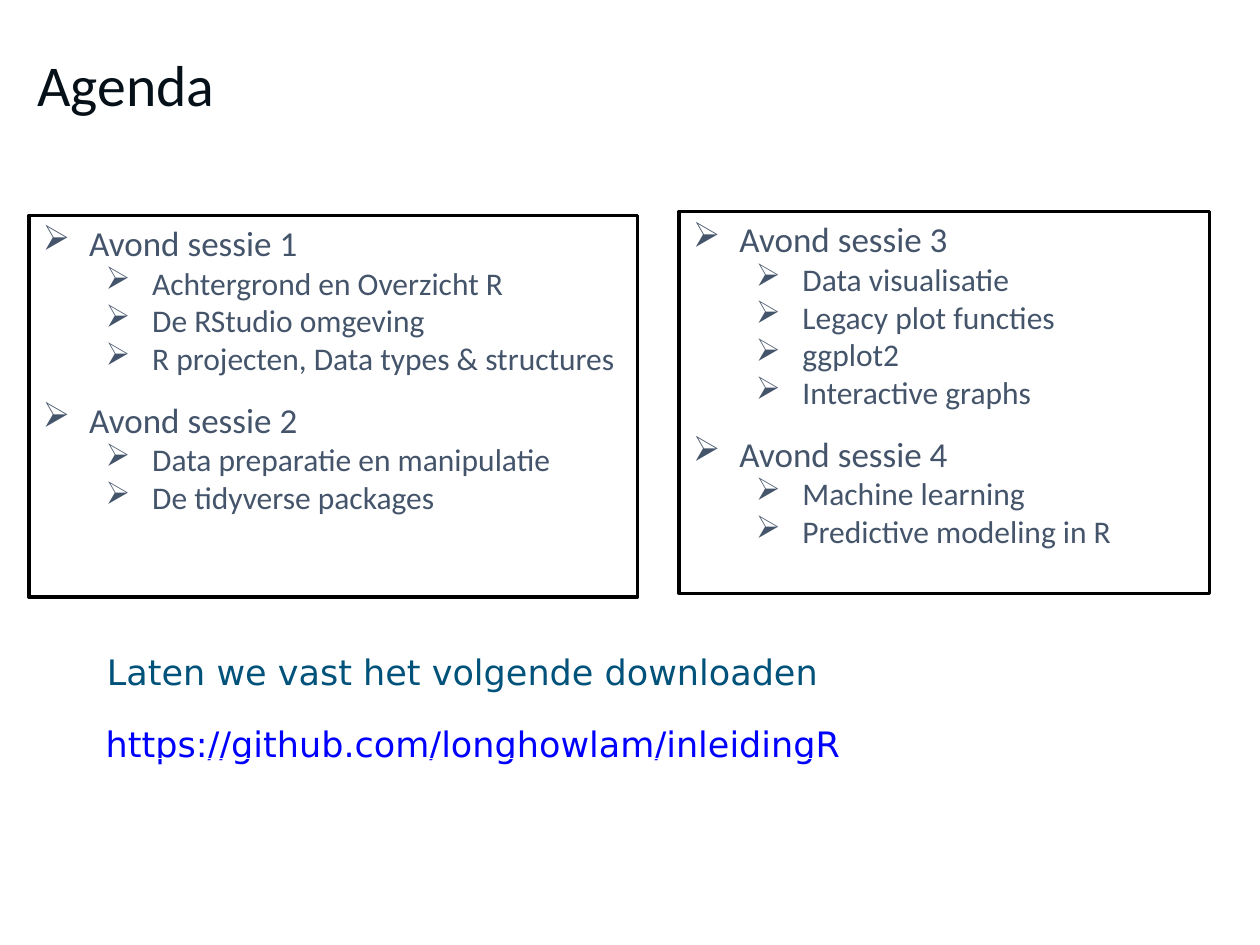
from lxml import etree
from pptx import Presentation
from pptx.dml.color import RGBColor
from pptx.enum.shapes import MSO_SHAPE
from pptx.enum.text import MSO_ANCHOR, PP_ALIGN
from pptx.oxml.ns import qn
from pptx.util import Inches, Pt

RECTANGLE = MSO_SHAPE.RECTANGLE
TOP, MIDDLE = MSO_ANCHOR.TOP, MSO_ANCHOR.MIDDLE
LEFT = PP_ALIGN.LEFT
SLATE = "44546A"

FIRST_SESSIONS = [
    ("Avond sessie 1", ["Achtergrond en Overzicht R", "De RStudio omgeving",
                        "R projecten, Data types & structures"]),
    ("Avond sessie 2", ["Data preparatie en manipulatie", "De tidyverse packages"]),
]
LAST_SESSIONS = [
    ("Avond sessie 3", ["Data visualisatie", "Legacy plot functies", "ggplot2",
                        "Interactive graphs"]),
    ("Avond sessie 4", ["Machine learning", "Predictive modeling in R"]),
]


def color(value):
    """Turn a hex string into a colour."""
    return RGBColor.from_string(value)


def add_bullet(para, level):
    """Give a paragraph an arrow bullet and a hanging indent for its level."""
    para.level = level
    properties = para._p.get_or_add_pPr()
    properties.set("marL", str(Inches(0.38 + 0.5 * level)))
    properties.set("indent", str(Inches(-0.37)))
    bullet_color = etree.SubElement(properties, qn("a:buClr"))
    etree.SubElement(bullet_color, qn("a:srgbClr")).set("val", SLATE)
    etree.SubElement(properties, qn("a:buChar")).set("char", "➢")


def add_underline(span, fill):
    """Underline a run in a colour of its own."""
    span.font.underline = True
    line_fill = etree.Element(qn("a:uFill"))
    solid = etree.SubElement(line_fill, qn("a:solidFill"))
    etree.SubElement(solid, qn("a:srgbClr")).set("val", fill)
    span._r.get_or_add_rPr().find(qn("a:solidFill")).addnext(line_fill)


def write(para, text, size, fill, font="Calibri", spacing=1.0, underline=None):
    """Write one formatted run into a paragraph."""
    para.alignment = LEFT
    para.line_spacing = spacing
    span = para.add_run()
    span.text = text
    span.font.name = font
    span.font.size = Pt(size)
    span.font.color.rgb = color(fill)
    if underline:
        add_underline(span, underline)


def add_line(page, box, text, anchor=TOP, **style):
    """Place a single line of text in the given box."""
    frame = page.shapes.add_textbox(*map(Inches, box)).text_frame
    frame.word_wrap = True
    frame.vertical_anchor = anchor
    write(frame.paragraphs[0], text, **style)


def add_sessions(page, box, sessions):
    """Place a framed list of sessions and their topics in the given box."""
    panel = page.shapes.add_shape(RECTANGLE, *map(Inches, box))
    panel.shadow.inherit = False
    panel.fill.solid()
    panel.fill.fore_color.rgb = color("FFFFFF")
    panel.line.color.rgb = color("000000")
    panel.line.width = Pt(2)
    frame = panel.text_frame
    frame.word_wrap = True
    frame.vertical_anchor = TOP
    for index, (session, topics) in enumerate(sessions):
        para = frame.add_paragraph() if index else frame.paragraphs[0]
        add_bullet(para, 0)
        write(para, session, size=20, fill=SLATE, spacing=1.5 if index else 1.0)
        for topic in topics:
            para = frame.add_paragraph()
            add_bullet(para, 1)
            write(para, topic, size=18, fill=SLATE)


def add_download(page, left, top):
    """Place the download request with its address below it."""
    style = {"size": 20, "font": "DejaVu Sans", "spacing": 0.9}
    add_line(page, (left, top, 8.23, 0.43), "Laten we vast het volgende downloaden",
             fill="00527A", **style)
    add_line(page, (left - 0.01, top + 0.57, 7.01, 0.43),
             "https://github.com/longhowlam/inleidingR",
             fill="0000FF", underline="FFFFFF", **style)


def main():
    """Build the agenda slide and save the deck."""
    deck = Presentation()
    deck.slide_width, deck.slide_height = Inches(10), Inches(7.5)
    page = deck.slides.add_slide(deck.slide_layouts[6])
    add_line(page, (0.2, 0.17, 8.62, 0.98), "Agenda", anchor=MIDDLE, size=33, fill="061018")
    add_sessions(page, (0.23, 1.71, 4.83, 3.03), FIRST_SESSIONS)
    add_sessions(page, (5.39, 1.68, 4.21, 3.03), LAST_SESSIONS)
    add_download(page, 0.75, 5.15)
    deck.save("out.pptx")


if __name__ == "__main__":
    main()
